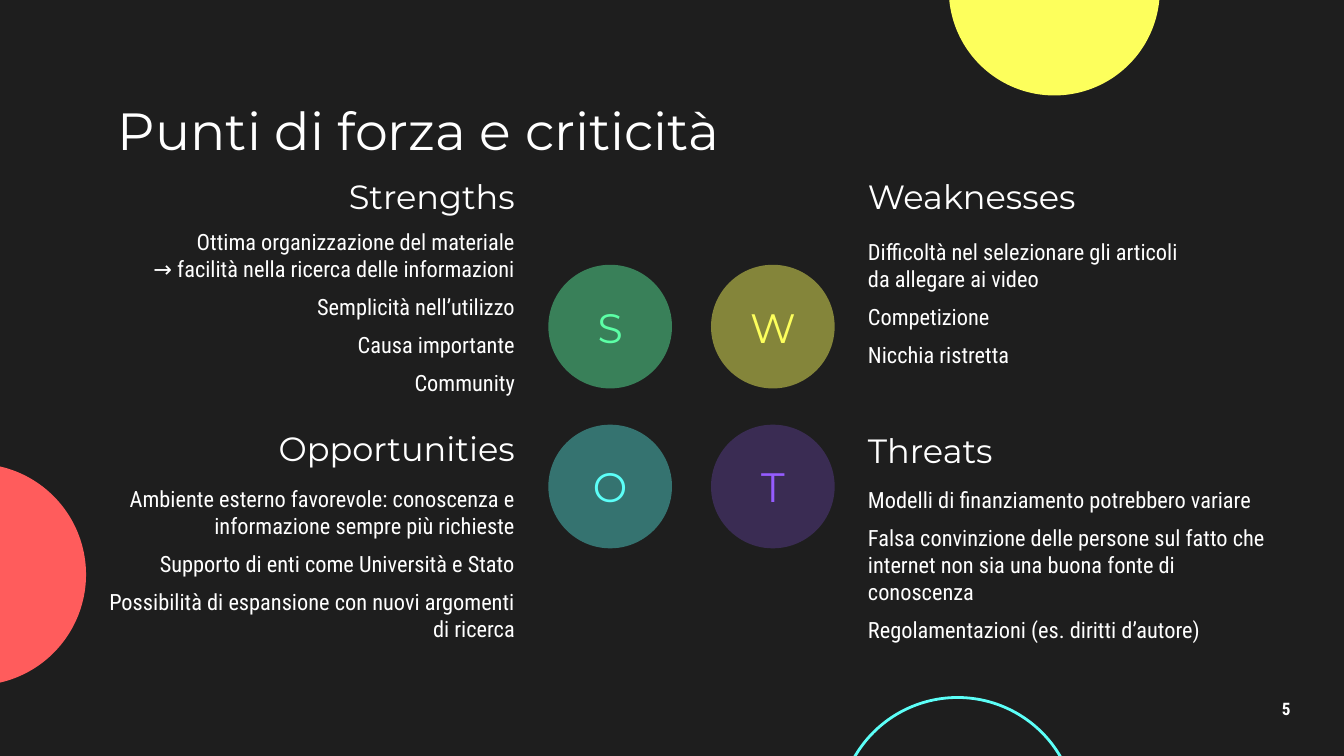
from lxml import etree
from pptx import Presentation
from pptx.dml.color import RGBColor
from pptx.enum.shapes import MSO_SHAPE
from pptx.enum.text import MSO_ANCHOR, PP_ALIGN
from pptx.oxml.ns import qn
from pptx.util import Inches, Pt

DARK = RGBColor(0x1E, 0x1E, 0x1E)
WHITE = RGBColor(0xFF, 0xFF, 0xFF)
YELLOW = RGBColor(0xFD, 0xFF, 0x5C)
RED = RGBColor(0xFF, 0x5C, 0x5C)
CYAN = RGBColor(0x5C, 0xFF, 0xF8)
GREEN = RGBColor(0x5C, 0xFF, 0xA6)
PURPLE = RGBColor(0x95, 0x5C, 0xFF)
HEAD_FONT = "Montserrat"
BODY_FONT = "Roboto Condensed"
LEFT, CENTER, RIGHT = PP_ALIGN.LEFT, PP_ALIGN.CENTER, PP_ALIGN.RIGHT

STRENGTHS = [
    "Ottima organizzazione del materiale\n → facilità nella ricerca delle informazioni",
    "Semplicità nell’utilizzo",
    "Causa importante",
    "Community",
]
WEAKNESSES = [
    "Difficoltà nel selezionare gli articoli da allegare ai video",
    "Competizione",
    "Nicchia ristretta",
]
OPPORTUNITIES = [
    "Ambiente esterno favorevole: conoscenza e informazione sempre più richieste",
    "Supporto di enti come Università e Stato",
    "Possibilità di espansione con nuovi argomenti di ricerca",
]
THREATS = [
    "Modelli di finanziamento potrebbero variare",
    "Falsa convinzione delle persone sul fatto che internet non sia una buona fonte di conoscenza",
    "Regolamentazioni (es. diritti d’autore)",
]


def add_run(p, text, size, font, color, bold=False):
    r = p.add_run()
    r.text = text
    r.font.size = Pt(size)
    r.font.name = font
    r.font.color.rgb = color
    r.font.bold = bold


def set_frame(tf, anchor, inset=0.1):
    tf.word_wrap = True
    tf.vertical_anchor = anchor
    tf.margin_left = tf.margin_right = Inches(inset)
    tf.margin_top = tf.margin_bottom = Inches(inset)


def add_text(s, box, items, size, font, align=LEFT, anchor=MSO_ANCHOR.MIDDLE,
             after=0, bold=False):
    tf = s.shapes.add_textbox(*map(Inches, box)).text_frame
    set_frame(tf, anchor)
    for i, item in enumerate(items):
        p = tf.paragraphs[0] if i == 0 else tf.add_paragraph()
        p.alignment = align
        p.space_after = Pt(after)
        for j, line in enumerate(item.split("\n")):
            if j:
                p.add_line_break()
            add_run(p, line, size, font, WHITE, bold)


def add_circle(s, x, y, d, fill=None, line=None):
    sp = s.shapes.add_shape(MSO_SHAPE.OVAL, *map(Inches, (x, y, d, d)))
    sp.shadow.inherit = False
    if fill is None:
        sp.fill.background()
    else:
        sp.fill.solid()
        sp.fill.fore_color.rgb = fill
    if line is None:
        sp.line.fill.background()
    else:
        sp.line.color.rgb = line
        sp.line.width = Pt(1.5)
    return sp


def add_letter(s, x, y, letter, color, opacity):
    sp = add_circle(s, x, y, 0.92, color)
    clr = sp.fill._xPr.find(qn("a:solidFill"))[0]
    etree.SubElement(clr, qn("a:alpha")).set("val", str(opacity * 1000))
    tf = sp.text_frame
    set_frame(tf, MSO_ANCHOR.MIDDLE, 0)
    p = tf.paragraphs[0]
    p.alignment = CENTER
    add_run(p, letter, 22, HEAD_FONT, color)


def add_quadrant(s, heading, head_x, head_y, body_box, items, align):
    add_text(s, (head_x, head_y, 2.51, 0.35), [heading], 18, HEAD_FONT, align)
    add_text(s, body_box, items, 12, BODY_FONT, align, MSO_ANCHOR.TOP, after=6)


def main():
    prs = Presentation()
    prs.slide_width = Inches(10)
    prs.slide_height = prs.slide_width * 9 // 16
    s = prs.slides.add_slide(prs.slide_layouts[6])
    s.background.fill.solid()
    s.background.fill.fore_color.rgb = DARK

    add_circle(s, 7.06, -0.86, 1.57, YELLOW)
    add_circle(s, -1.01, 3.45, 1.65, RED)
    add_circle(s, 6.24, 5.19, 1.77, line=CYAN)

    add_text(s, (0.78, 0.71, 8.44, 0.51), ["Punti di forza e criticità"], 28, HEAD_FONT)
    add_text(s, (9.27, 5.1, 0.6, 0.34), ["5"], 9.2, BODY_FONT, CENTER, bold=True)

    letters = [("S", GREEN, 44), ("W", YELLOW, 46), ("O", CYAN, 38), ("T", PURPLE, 24)]
    for i, (letter, color, opacity) in enumerate(letters):
        row, col = divmod(i, 2)
        add_letter(s, 4.08 + 1.21 * col, 1.97 + 1.19 * row, letter, color, opacity)

    quadrants = [
        ("Weaknesses", 6.36, 1.28, (6.36, 1.67, 2.51, 1.09), WEAKNESSES, LEFT),
        ("Threats", 6.36, 3.17, (6.36, 3.52, 3.26, 1.73), THREATS, LEFT),
        ("Strengths", 1.42, 1.28, (0.39, 1.6, 3.54, 1.56), STRENGTHS, RIGHT),
        ("Opportunities", 1.42, 3.16, (0.63, 3.51, 3.3, 1.74), OPPORTUNITIES, RIGHT),
    ]
    for quadrant in quadrants:
        add_quadrant(s, *quadrant)

    prs.save("out.pptx")


main()
